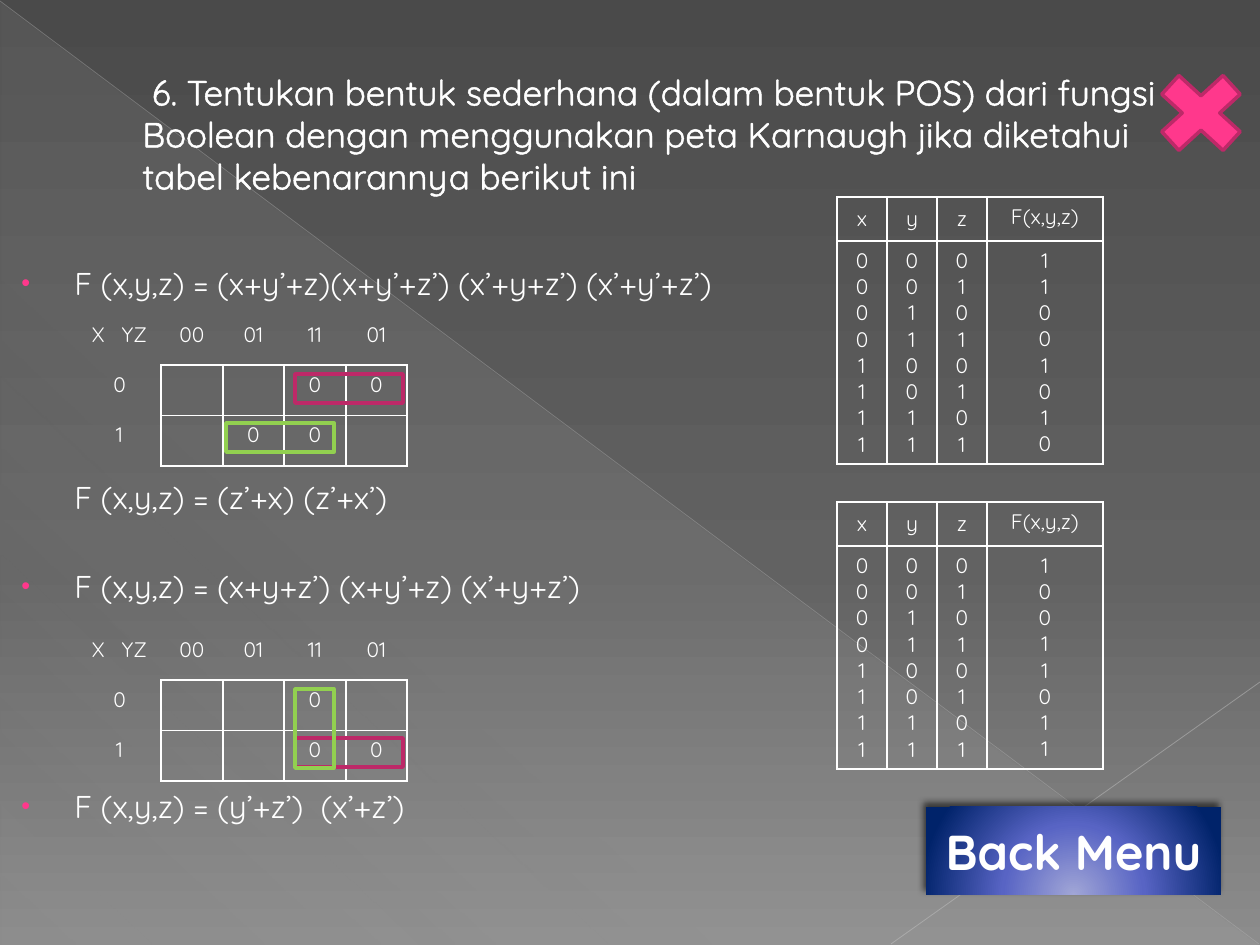
from lxml.etree import SubElement as Sub
from pptx import Presentation
from pptx.dml.color import RGBColor
from pptx.enum.shapes import MSO_CONNECTOR as Connector, MSO_SHAPE as Shape
from pptx.enum.text import MSO_ANCHOR as Anchor, PP_ALIGN as Align
from pptx.oxml import parse_xml
from pptx.oxml.ns import nsdecls, qn
from pptx.util import Emu, Pt

WHITE = RGBColor(0xFF, 0xFF, 0xFF)
PINK = RGBColor(0xFF, 0x38, 0x8C)
CRIMSON = RGBColor(0xBD, 0x29, 0x68)
GREEN = RGBColor(0x92, 0xD0, 0x50)
SILVER = RGBColor(0xBF, 0xBF, 0xBF)
PALE = RGBColor(0xC6, 0xC6, 0xC6)
MIST = RGBColor(0xD2, 0xD2, 0xD2)
BLACK = RGBColor(0, 0, 0)
BACKDROP = [(0, RGBColor(0x4A, 0x4A, 0x4A), 100), (60, RGBColor(0x62, 0x62, 0x62), 100),
            (100, RGBColor(0x8C, 0x8C, 0x8C), 100)]
SHEEN = [(0, MIST, 10), (70, MIST, 8), (100, MIST, 1)]
GLOW = [(0, RGBColor(0xA1, 0xA6, 0xD6), 100), (46, RGBColor(0x58, 0x64, 0xC4), 100),
        (100, RGBColor(0x00, 0x23, 0x6A), 100)]
FONT = "Quicksand"
NO_STYLE = "{2D5ABB26-0587-4C30-8999-92F81FD0307C}"
SLIDE = (1260, 945)

TITLE = (" 6. Tentukan bentuk sederhana (dalam bentuk POS) dari fungsi Boolean dengan "
         "menggunakan peta Karnaugh jika diketahui tabel kebenarannya berikut ini")
FORMULAS = [
    (283, True, "F (x,y,z) = (x+y’+z)(x+y’+z’) (x’+y+z’) (x’+y’+z’)"),
    (497, False, "F (x,y,z) = (z’+x) (z’+x’)"),
    (586, True, "F (x,y,z) = (x+y+z’) (x+y’+z) (x’+y+z’)"),
    (806, True, "F (x,y,z) = (y’+z’)  (x’+z’)"),
]
MAP_HEAD = ["X   YZ", "00", "01", "11", "01"]
MAPS = [
    (315, [["0", "", "", "0", "0"], ["1", "", "0", "0", ""]]),
    (630, [["0", "", "", "0", ""], ["1", "", "", "0", "0"]]),
]
TRUTH_HEAD = ["x", "y", "z", "F(x,y,z)"]
TRUTHS = [(197, "11001010"), (502, "10011011")]
GROUPS = [
    ((295, 374, 108, 29), CRIMSON),
    ((226, 423, 108, 29), GREEN),
    ((295, 738, 108, 29), CRIMSON),
    ((295, 689, 39, 79), GREEN),
]
RAYS = [((0, 1, 1259, 944), SILVER, 0.39, 35), ((1260, 682, 891, 944), PALE, 0.47, 45)]


def px(value):
    return Emu(round(value * 914400 / 126))


def assign(target, values):
    for name, value in values.items():
        setattr(target, name, value)


def write(para, text, size, **extra):
    span = para.add_run()
    span.text = text
    assign(span.font, {"name": FONT, "size": Pt(size), **extra})
    span.font.color.rgb = WHITE
    return span


def gradient(owner, fill, stops, direction):
    fill.solid()
    fill.fore_color.rgb = WHITE
    solid = owner.find(".//" + qn("a:solidFill"))
    marks = "".join(
        f'<a:gs pos="{pos * 1000}"><a:srgbClr val="{color}">'
        f'<a:alpha val="{alpha * 1000}"/></a:srgbClr></a:gs>' for pos, color, alpha in stops)
    solid.getparent().replace(solid, parse_xml(
        f'<a:gradFill {nsdecls("a")} rotWithShape="1"><a:gsLst>{marks}</a:gsLst>'
        f'{direction}</a:gradFill>'))


def linear(degrees):
    return f'<a:lin ang="{degrees * 60000}" scaled="0"/>'


def add_shape(page, kind, place, line=None):
    shape = page.shapes.add_shape(kind, *map(px, place))
    shape.shadow.inherit = False
    shape.fill.background()
    if line is None:
        shape.line.fill.background()
    else:
        shape.line.color.rgb = line
        shape.line.width = Pt(2)
    return shape


def add_text(page, place, text, size, indent, hanging=0):
    frame = page.shapes.add_textbox(*map(px, place)).text_frame
    assign(frame, {"word_wrap": True, "vertical_anchor": Anchor.MIDDLE})
    para = frame.paragraphs[0]
    props = para._p.get_or_add_pPr()
    props.set("marL", str(px(indent)))
    props.set("indent", str(px(-hanging)))
    return para, write(para, text, size)


def add_bullet(para):
    props = para._p.get_or_add_pPr()
    Sub(Sub(props, qn("a:buClr")), qn("a:srgbClr"), val=str(PINK))
    Sub(props, qn("a:buSzPct"), val="80000")
    Sub(props, qn("a:buFont"), typeface="Arial")
    Sub(props, qn("a:buChar"), char="•")


def add_border(cell, sides):
    props = cell._tc.get_or_add_tcPr()
    for side in sides:
        line = Sub(props, qn("a:ln" + side), w=str(Pt(1)))
        Sub(Sub(line, qn("a:solidFill")), qn("a:srgbClr"), val=str(WHITE))


def add_grid(page, left, top, widths, heights, rows, sides_of, anchor_of):
    place = (left, top, sum(widths), sum(heights))
    table = page.shapes.add_table(len(rows), len(widths), *map(px, place)).table
    assign(table, {"first_row": False, "horz_banding": False})
    table._tbl.tblPr.find(qn("a:tableStyleId")).text = NO_STYLE
    for column, width in zip(table.columns, widths):
        column.width = px(width)
    for row, height in zip(table.rows, heights):
        row.height = px(height)
    for r, row in enumerate(rows):
        for c, text in enumerate(row):
            cell = table.cell(r, c)
            add_border(cell, sides_of(r, c))
            cell.fill.background()
            cell.vertical_anchor = anchor_of(c)
            for i, entry in enumerate(text.split("\n")):
                frame = cell.text_frame
                para = frame.add_paragraph() if i else frame.paragraphs[0]
                para.alignment = Align.CENTER
                write(para, entry, 12)


def map_sides(r, c):
    if r and c:
        return "LRTB"
    return "R" if r else "B" if c else ""


def main():
    deck = Presentation()
    deck.slide_width, deck.slide_height = map(px, SLIDE)
    page = deck.slides.add_slide(deck.slide_layouts[6])
    gradient(page.element, page.background.fill, BACKDROP, linear(90))

    sheen = add_shape(page, Shape.RIGHT_TRIANGLE, (1, 2, 1258, 943))
    gradient(sheen._element, sheen.fill, SHEEN, linear(133))
    for ends, color, width, alpha in RAYS:
        ray = page.shapes.add_connector(Connector.STRAIGHT, *map(px, ends))
        ray.line.color.rgb = color
        ray.line.width = Pt(width)
        props = ray._element.spPr
        Sub(props.find(".//" + qn("a:srgbClr")), qn("a:alpha"), val=str(alpha * 1000))
        Sub(props, qn("a:effectLst"))

    para, span = add_text(page, (63, 37, 1134, 193), TITLE, 20, 67)
    para.line_spacing = Pt(24)
    outline = parse_xml(f'<a:ln {nsdecls("a")} w="{Pt(0.5)}"><a:solidFill>'
                        f'<a:srgbClr val="{WHITE}"/></a:solidFill></a:ln>')
    span.font._element.insert(0, outline)

    for middle, bulleted, text in FORMULAS:
        hanging = 53 if bulleted else 0
        para, span = add_text(page, (0, middle - 26, 820, 52), text, 18, 62, hanging)
        if bulleted:
            add_bullet(para)

    for top, rows in MAPS:
        add_grid(page, 78, top, [83, 62, 61, 62, 61], [50] * 3, [MAP_HEAD] + rows,
                 map_sides, lambda c: Anchor.TOP)
    for top, results in TRUTHS:
        inputs = [[f"{n:03b}"[bit] for n in range(8)] for bit in range(3)]
        body = ["\n".join(column) for column in [*inputs, results]]
        add_grid(page, 837, top, [50, 50, 50, 116], [44, 223], [TRUTH_HEAD, body],
                 lambda r, c: "LRTB", lambda c: Anchor.MIDDLE if c < 3 else Anchor.TOP)
    for place, color in GROUPS:
        add_shape(page, Shape.RECTANGLE, place, color)

    button = add_shape(page, Shape.RECTANGLE, (926, 807, 295, 88))
    gradient(button._element, button.fill, GLOW,
             '<a:path path="circle"><a:fillToRect l="50000" t="155000" r="50000" b="-55000"/></a:path>')
    shadow = Sub(button._element.spPr.find(qn("a:effectLst")), qn("a:outerShdw"),
                 blurRad=str(Pt(4)), dist=str(Pt(3)), dir=str(245 * 60000), rotWithShape="0")
    Sub(Sub(shadow, qn("a:srgbClr"), val=str(BLACK)), qn("a:alpha"), val="60000")
    assign(button.text_frame, {"word_wrap": False, "vertical_anchor": Anchor.MIDDLE})
    label = button.text_frame.paragraphs[0]
    label.alignment = Align.CENTER
    write(label, "Back Menu", 28, bold=True)

    cross = add_shape(page, Shape.MATH_MULTIPLY, (1142, 59, 118, 108), CRIMSON)
    cross.fill.solid()
    cross.fill.fore_color.rgb = PINK
    deck.save("out.pptx")


if __name__ == "__main__":
    main()
